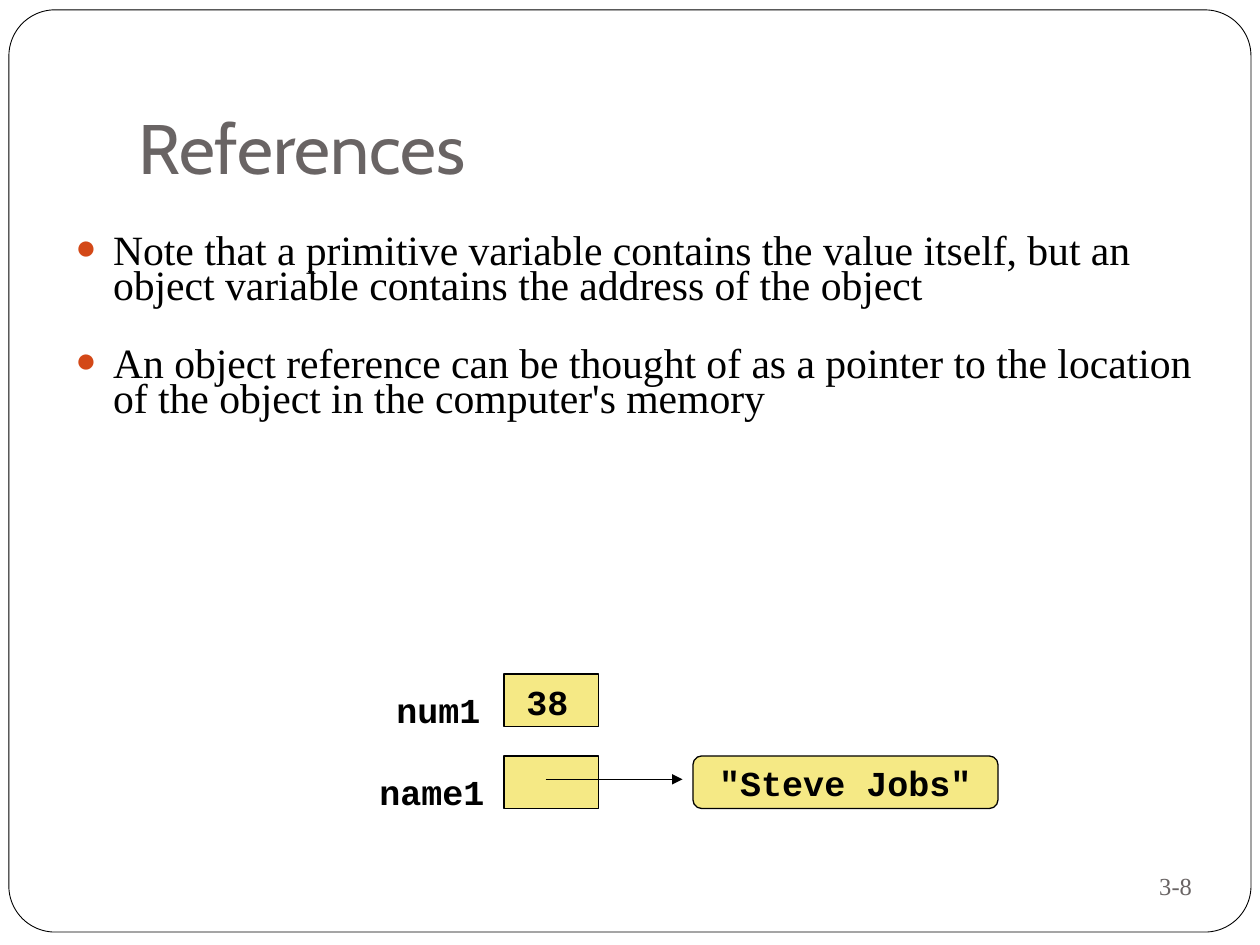
"""Build the slide on primitive variables and object references."""
from dataclasses import dataclass

from lxml import etree
from pptx import Presentation
from pptx.dml.color import RGBColor
from pptx.enum.shapes import MSO_CONNECTOR, MSO_SHAPE
from pptx.enum.text import MSO_ANCHOR, MSO_AUTO_SIZE, PP_ALIGN
from pptx.oxml.ns import qn
from pptx.util import Cm, Pt

RECTANGLE, ROUNDED = MSO_SHAPE.RECTANGLE, MSO_SHAPE.ROUNDED_RECTANGLE
STRAIGHT = MSO_CONNECTOR.STRAIGHT
LEFT, CENTER, RIGHT = PP_ALIGN.LEFT, PP_ALIGN.CENTER, PP_ALIGN.RIGHT
TOP, MIDDLE, BOTTOM = MSO_ANCHOR.TOP, MSO_ANCHOR.MIDDLE, MSO_ANCHOR.BOTTOM
FIT_SHAPE = MSO_AUTO_SIZE.SHAPE_TO_FIT_TEXT


@dataclass(frozen=True)
class TextStyle:
    font: str
    size: float
    color: RGBColor
    bold: bool = False


@dataclass(frozen=True)
class Theme:
    black: RGBColor = RGBColor(0, 0, 0)
    white: RGBColor = RGBColor(255, 255, 255)
    cell: RGBColor = RGBColor(0xF5, 0xE9, 0x85)
    bullet: str = "D34817"
    gray: RGBColor = RGBColor(0x69, 0x64, 0x64)
    title: TextStyle = TextStyle("Cabin", 40, gray)
    body: TextStyle = TextStyle("Times New Roman", 23.8, black)
    number: TextStyle = TextStyle("Times New Roman", 14, gray)
    code: TextStyle = TextStyle("Courier New", 20, black, True)


@dataclass(frozen=True)
class Box:
    left: float
    top: float
    width: float
    height: float

    def lengths(self) -> tuple:
        return Cm(self.left), Cm(self.top), Cm(self.width), Cm(self.height)


@dataclass(frozen=True)
class Label:
    text: str
    box: Box


THEME = Theme()
CELL_LEFT, CELL_WIDTH, CELL_HEIGHT = 10.16, 1.9, 1.06
NUM_TOP, NAME_TOP = 13.59, 15.24
LABEL_DROP, LABEL_HEIGHT = 0.16, 1.11
ARROW_Y = 15.71

POINTS = (
    "Note that a primitive variable contains the value itself, "
    "but an object variable contains the address of the object",
    "An object reference can be thought of as a pointer to the location "
    "of the object in the computer's memory",
)
LABELS = (
    Label("name1", Box(7.4, NAME_TOP + LABEL_DROP, 2.7, LABEL_HEIGHT)),
    Label("num1", Box(7.74, NUM_TOP + LABEL_DROP, 2.26, LABEL_HEIGHT)),
    Label("38", Box(10.36, NUM_TOP, 1.4, LABEL_HEIGHT)),
)


def write_paragraph(paragraph, text: str, style: TextStyle, align=LEFT) -> None:
    paragraph.text = text
    paragraph.alignment = align
    font = paragraph.font
    font.name, font.size, font.bold = style.font, Pt(style.size), style.bold
    font.color.rgb = style.color


def add_text(slide, label: Label, style: TextStyle, align=LEFT, anchor=TOP, wrap=False):
    shape = slide.shapes.add_textbox(*label.box.lengths())
    frame = shape.text_frame
    frame.word_wrap, frame.vertical_anchor = wrap, anchor
    write_paragraph(frame.paragraphs[0], label.text, style, align)
    return frame


def add_box(slide, kind, box: Box, fill: RGBColor, line_width: float):
    shape = slide.shapes.add_shape(kind, *box.lengths())
    shape.shadow.inherit = False
    shape.fill.solid()
    shape.fill.fore_color.rgb = fill
    shape.line.color.rgb = THEME.black
    shape.line.width = Pt(line_width)
    return shape


def add_bullet(paragraph) -> None:
    properties = paragraph._p.get_or_add_pPr()
    properties.set("marL", str(Cm(0.76)))
    properties.set("indent", str(-Cm(0.76)))
    color = etree.SubElement(properties, qn("a:buClr"))
    etree.SubElement(color, qn("a:srgbClr"), val=THEME.bullet)
    etree.SubElement(properties, qn("a:buSzPct"), val="85000")
    etree.SubElement(properties, qn("a:buFont"), typeface=THEME.body.font)
    etree.SubElement(properties, qn("a:buChar"), char="●")


def add_points(slide, points: tuple, box: Box) -> None:
    frame = slide.shapes.add_textbox(*box.lengths()).text_frame
    frame.word_wrap = True
    for index, point in enumerate(points):
        paragraph = frame.add_paragraph() if index else frame.paragraphs[0]
        paragraph.line_spacing = 0.7
        paragraph.space_before = Pt(24.5)
        add_bullet(paragraph)
        write_paragraph(paragraph, point, THEME.body)


def add_arrow(slide, start: float, end: float, y: float) -> None:
    arrow = slide.shapes.add_connector(STRAIGHT, Cm(start), Cm(y), Cm(end), Cm(y))
    arrow.line.color.rgb = THEME.black
    arrow.line.width = Pt(0.75)
    etree.SubElement(arrow.line._get_or_add_ln(), qn("a:tailEnd"), type="triangle")
    etree.SubElement(arrow._element.spPr, qn("a:effectLst"))


def add_diagram(slide) -> None:
    for top in (NAME_TOP, NUM_TOP):
        add_box(slide, RECTANGLE, Box(CELL_LEFT, top, CELL_WIDTH, CELL_HEIGHT), THEME.cell, 0.75)
    target = add_box(slide, ROUNDED, Box(13.97, NAME_TOP, 6.15, CELL_HEIGHT), THEME.cell, 0.75)
    frame = target.text_frame
    frame.word_wrap, frame.vertical_anchor = False, MIDDLE
    write_paragraph(frame.paragraphs[0], '"Steve Jobs"', THEME.code, CENTER)
    for label in LABELS:
        add_text(slide, label, THEME.code).auto_size = FIT_SHAPE
    add_arrow(slide, 11, 13.76, ARROW_Y)


def main() -> None:
    presentation = Presentation()
    presentation.slide_width, presentation.slide_height = Cm(25.4), Cm(19.05)
    slide = presentation.slides.add_slide(presentation.slide_layouts[6])
    border = add_box(slide, ROUNDED, Box(0.18, 0.2, 25.04, 18.59), THEME.white, 0.5)
    border.adjustments[0] = 0.05
    number = add_text(slide, Label("3-8", Box(17.15, 17.2, 6.88, 1.32)), THEME.number, RIGHT, MIDDLE)
    number.margin_left = number.margin_right = number.margin_top = number.margin_bottom = 0
    title = Label("References", Box(2.54, 0.74, 21.59, 3.18))
    add_text(slide, title, THEME.title, anchor=BOTTOM, wrap=True)
    add_points(slide, POINTS, Box(1.27, 4.66, 23.06, 5.08))
    add_diagram(slide)
    presentation.save("out.pptx")


if __name__ == "__main__":
    main()
